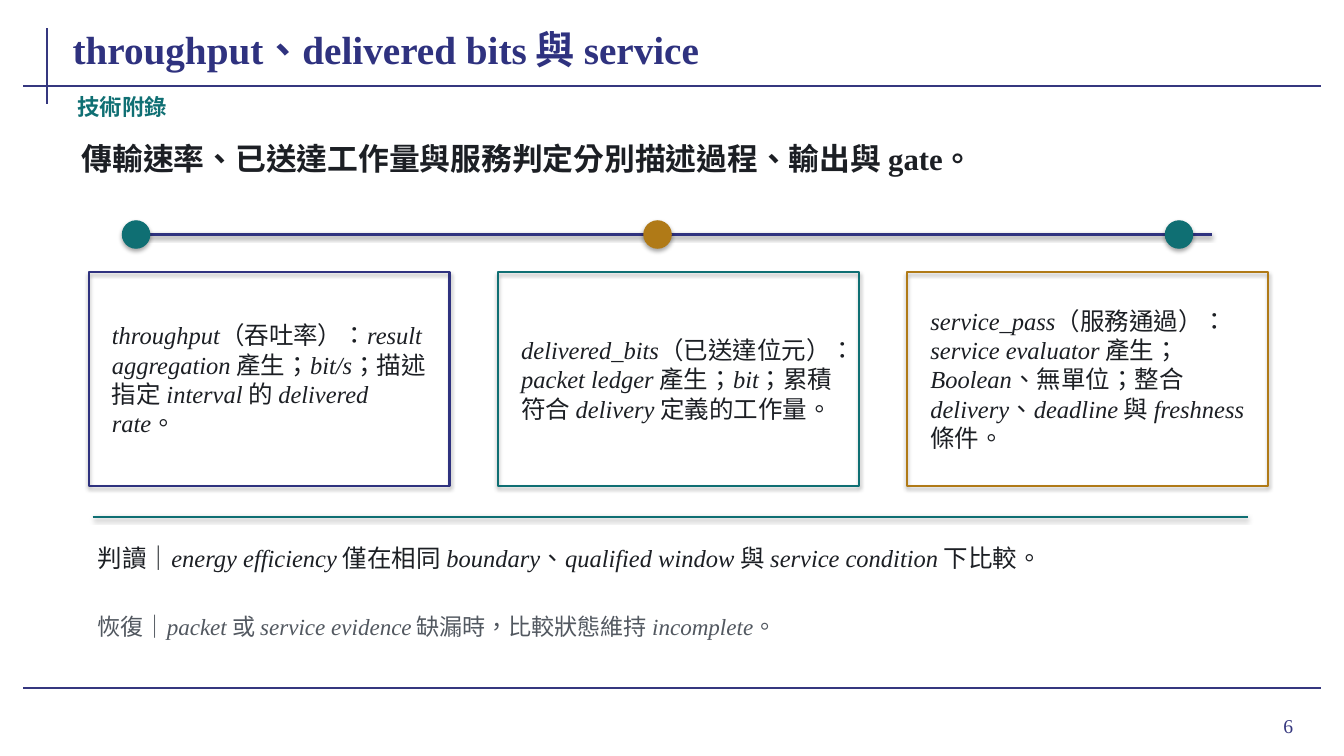
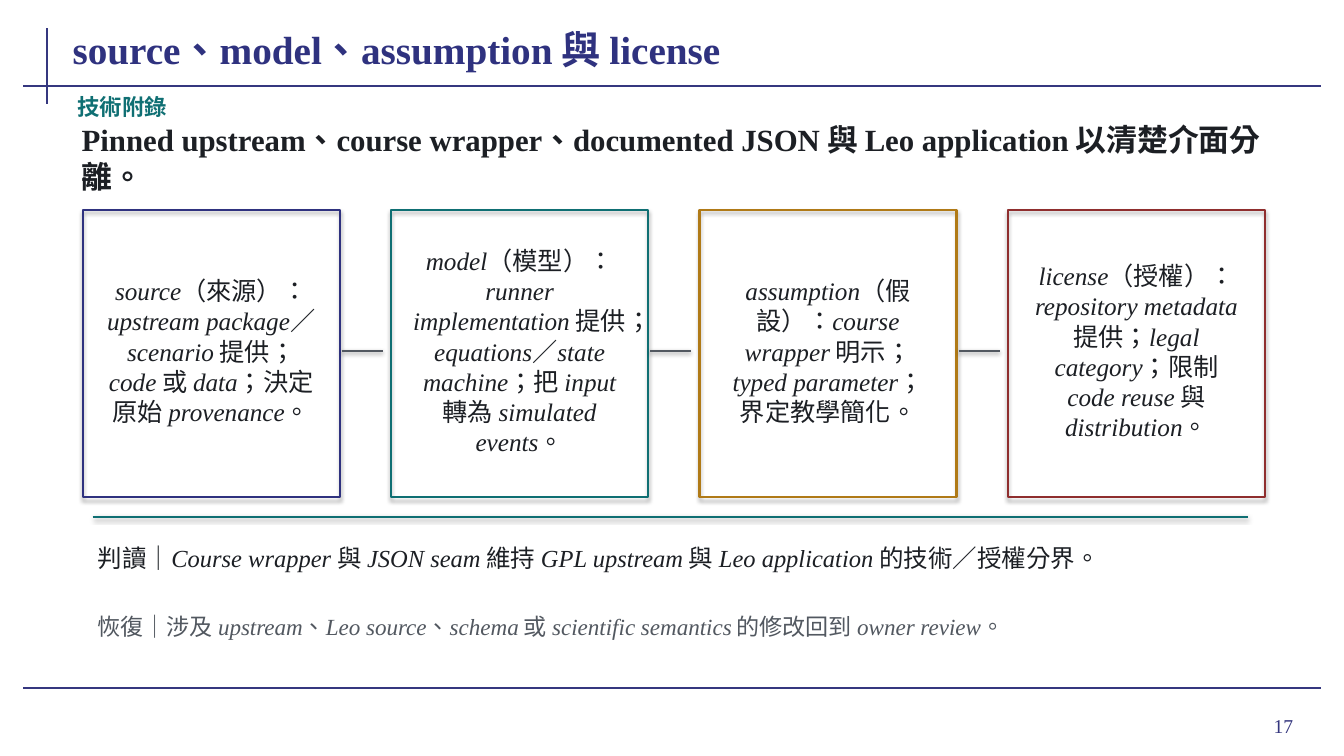
from dataclasses import dataclass

from lxml import etree
from pptx import Presentation
from pptx import util as u
from pptx.dml.color import RGBColor
from pptx.enum import shapes, text
from pptx.oxml import ns

# Grid: 40 columns by 22.5 rows of square cells
COLUMNS, ROWS = 40, 22.5
CELL = u.Inches(13.33) / COLUMNS

COLORS = {
    "frame": "35377F", "navy": "2F327F", "teal": "0F6F73", "ochre": "B07A17",
    "red": "8F2E2E", "ink": "1C1F24", "gray": "525860",
}
LATIN, CJK = "Times New Roman", "Noto Sans CJK SC"
LEFT, CENTER, RIGHT = text.PP_ALIGN.LEFT, text.PP_ALIGN.CENTER, text.PP_ALIGN.RIGHT


@dataclass(frozen=True)
class Area:
    """Left, top, width and height in grid cells."""
    x: float
    y: float
    w: float
    h: float

    def emu(self) -> tuple[int, ...]:
        return tuple(cells(n) for n in (self.x, self.y, self.w, self.h))


@dataclass(frozen=True)
class Style:
    size: float
    color: str = "ink"
    bold: bool = False
    italic_terms: bool = False
    align: text.PP_ALIGN = LEFT


@dataclass(frozen=True)
class CardRow:
    first: Area
    step: float
    inset_x: float
    inset_top: float
    text_rows: float
    style: Style

    def card(self, index: int) -> Area:
        return Area(self.first.x + index * self.step, self.first.y, self.first.w, self.first.h)

    def body(self, index: int) -> Area:
        card = self.card(index)
        return Area(card.x + self.inset_x, card.y + self.inset_top,
                    card.w - 2 * self.inset_x, self.text_rows)


@dataclass(frozen=True)
class Page:
    """Terms between asterisks are set in the Latin face."""
    number: int
    title: str
    headline: str
    cards: list[tuple[str, str]]
    row: CardRow
    reading: str
    recovery: str


# Shared places and styles
TITLE = Area(2.16, 0.57, 31.05, 1.6)
KICKER = Area(2.16, 2.78, 4.65, 0.8)
HEADLINE = Area(2.28, 3.62, 35.85, 2.16)
READING = Area(2.76, 15.54, 34.38, 2.1)
RECOVERY = Area(2.76, 17.76, 34.38, 1.74)
NUMBER = Area(35.88, 20.82, 2.9, 1.55)
FRAME_LINES = [(1.4, 0.84, 1.4, 3.1), (0.7, 2.57, 39.32, 2.57), (0.7, 20.47, 39.32, 20.47)]

TITLE_STYLE = Style(28, "navy", bold=True)
KICKER_STYLE = Style(16, "teal", bold=True)
HEADLINE_STYLE = Style(22, bold=True)
READING_STYLE = Style(17.5, italic_terms=True)
RECOVERY_STYLE = Style(16.5, "gray", italic_terms=True)
NUMBER_STYLE = Style(14, "frame", align=RIGHT)

THREE_CARDS = CardRow(Area(2.64, 8.1, 10.74, 6.36), 12.18, 0.54, 0.54, 5.28,
                      Style(17.5, italic_terms=True))
FOUR_CARDS = CardRow(Area(2.46, 6.25, 7.65, 8.55), 9.18, 0.48, 0.6, 7.2,
                     Style(18, italic_terms=True, align=CENTER))

METRICS = Page(
    6,
    "*throughput*、*delivered bits* 與 *service*",
    "傳輸速率、已送達工作量與服務判定分別描述過程、輸出與 *gate*。",
    [
        ("navy", "*throughput*（吞吐率）：*result aggregation* 產生；*bit/s*；描述指定 "
                 "*interval* 的 *delivered rate*。"),
        ("teal", "*delivered_bits*（已送達位元）：*packet ledger* 產生；*bit*；累積符合 "
                 "*delivery* 定義的工作量。"),
        ("ochre", "*service_pass*（服務通過）：*service evaluator* 產生；*Boolean*、無單位；整合 "
                  "*delivery*、*deadline* 與 *freshness* 條件。"),
    ],
    THREE_CARDS,
    "判讀｜*energy efficiency* 僅在相同 *boundary*、*qualified window* 與 "
    "*service condition* 下比較。",
    "恢復｜*packet* 或 *service evidence* 缺漏時，比較狀態維持 *incomplete*。",
)
ORIGINS = Page(
    17,
    "*source*、*model*、*assumption* 與 *license*",
    "*Pinned upstream*、*course wrapper*、*documented JSON* 與 *Leo application* 以清楚介面分離。",
    [
        ("navy", "*source*（來源）：*upstream package*／*scenario* 提供；*code* 或 *data*；決定原始 "
                 "*provenance*。"),
        ("teal", "*model*（模型）：*runner implementation* 提供；*equations*／*state machine*；把 "
                 "*input* 轉為 *simulated events*。"),
        ("ochre", "*assumption*（假設）：*course wrapper* 明示；*typed parameter*；界定教學簡化。"),
        ("red", "*license*（授權）：*repository metadata* 提供；*legal category*；限制 "
                "*code reuse* 與 *distribution*。"),
    ],
    FOUR_CARDS,
    "判讀｜*Course wrapper* 與 *JSON seam* 維持 *GPL upstream* 與 *Leo application* 的技術／授權分界。",
    "恢復｜涉及 *upstream*、*Leo source*、*schema* 或 *scientific semantics* 的修改回到 *owner review*。",
)


# Drawing helpers
def cells(count: float) -> int:
    return round(count * CELL)


def rgb(name: str) -> RGBColor:
    return RGBColor.from_string(COLORS[name])


def write(frame, content: str, style: Style) -> None:
    """Fill a frame, switching face at each asterisk."""
    paragraph = frame.paragraphs[0]
    paragraph.alignment = style.align
    for index, part in enumerate(content.split("*")):
        if not part:
            continue
        is_term = index % 2 == 1
        run = paragraph.add_run()
        run.text = part
        run.font.size = u.Pt(style.size)
        run.font.bold = style.bold
        run.font.italic = is_term and style.italic_terms
        run.font.color.rgb = rgb(style.color)
        run.font.name = LATIN if is_term else CJK
        properties = run._r.get_or_add_rPr()
        properties.set("lang", "en-US" if is_term else "zh-TW")
        etree.SubElement(properties, ns.qn("a:ea")).set("typeface", CJK)


def add_text(slide, area: Area, content: str, style: Style, margin: float = 0.05,
             grow: bool = True) -> None:
    frame = slide.shapes.add_textbox(*area.emu()).text_frame
    frame.word_wrap = True
    frame.vertical_anchor = text.MSO_ANCHOR.MIDDLE
    frame.margin_left = frame.margin_right = u.Inches(margin)
    frame.margin_top = frame.margin_bottom = u.Inches(0.05)
    if grow:
        frame.auto_size = text.MSO_AUTO_SIZE.SHAPE_TO_FIT_TEXT
    write(frame, content, style)


def add_line(slide, ends: tuple[float, ...], color: str, width: float):
    line = slide.shapes.add_connector(shapes.MSO_CONNECTOR.STRAIGHT, *map(cells, ends))
    line.line.color.rgb = rgb(color)
    line.line.width = u.Pt(width)
    return line


def add_dot(slide, center_x: float, center_y: float, color: str, size: float = 0.85) -> None:
    area = Area(center_x - size / 2, center_y - size / 2, size, size)
    dot = slide.shapes.add_shape(shapes.MSO_SHAPE.OVAL, *area.emu())
    dot.fill.solid()
    dot.fill.fore_color.rgb = rgb(color)
    dot.line.fill.background()


def add_card(slide, row: CardRow, index: int, color: str, content: str) -> None:
    card = slide.shapes.add_shape(shapes.MSO_SHAPE.RECTANGLE, *row.card(index).emu())
    card.fill.background()
    card.line.color.rgb = rgb(color)
    card.line.width = u.Pt(1.5)
    add_text(slide, row.body(index), content, row.style)


# Slide parts
def add_frame_lines(slide, layout) -> None:
    """Draw the rules and move them to the layout, so every slide has them."""
    for ends in FRAME_LINES:
        rule = add_line(slide, ends, "frame", 1.5)
        etree.SubElement(rule._element.spPr, ns.qn("a:effectLst"))
        layout.shapes._spTree.append(rule._element)


def add_timeline(slide) -> None:
    add_line(slide, (3.84, 6.98, 36.07, 6.98), "navy", 2)
    for index, color in enumerate(("teal", "ochre", "teal")):
        add_dot(slide, 4.05 + index * 15.52, 6.98, color)


def add_links(slide, row: CardRow, count: int) -> None:
    for index in range(count - 1):
        card = row.card(index)
        start = card.x + card.w + 0.06
        add_line(slide, (start, 10.45, start + 1.23, 10.45), "gray", 1.5)


def add_page(slide, page: Page) -> None:
    title = slide.shapes.title.text_frame
    title.word_wrap = False
    title.auto_size = text.MSO_AUTO_SIZE.NONE
    title.vertical_anchor = text.MSO_ANCHOR.BOTTOM
    title.margin_left = title.margin_right = title.margin_top = title.margin_bottom = 0
    write(title, page.title, TITLE_STYLE)
    add_text(slide, KICKER, "技術附錄", KICKER_STYLE)
    add_text(slide, HEADLINE, page.headline, HEADLINE_STYLE)
    for index, (color, content) in enumerate(page.cards):
        add_card(slide, page.row, index, color, content)
    add_line(slide, (2.76, 15.38, 37.14, 15.38), "teal", 1.6)
    add_text(slide, READING, page.reading, READING_STYLE)
    add_text(slide, RECOVERY, page.recovery, RECOVERY_STYLE)
    add_text(slide, NUMBER, f"*{page.number}*", NUMBER_STYLE, margin=0.1, grow=False)


def main() -> None:
    deck = Presentation()
    deck.slide_width, deck.slide_height = cells(COLUMNS), cells(ROWS)
    layout = deck.slide_layouts.get_by_name("Title Only")
    heading = layout.placeholders[0]
    heading.left, heading.top, heading.width, heading.height = TITLE.emu()

    metrics = deck.slides.add_slide(layout)
    add_frame_lines(metrics, layout)
    add_timeline(metrics)
    add_page(metrics, METRICS)

    origins = deck.slides.add_slide(layout)
    add_page(origins, ORIGINS)
    add_links(origins, FOUR_CARDS, len(ORIGINS.cards))

    deck.save("out.pptx")


if __name__ == "__main__":
    main()
